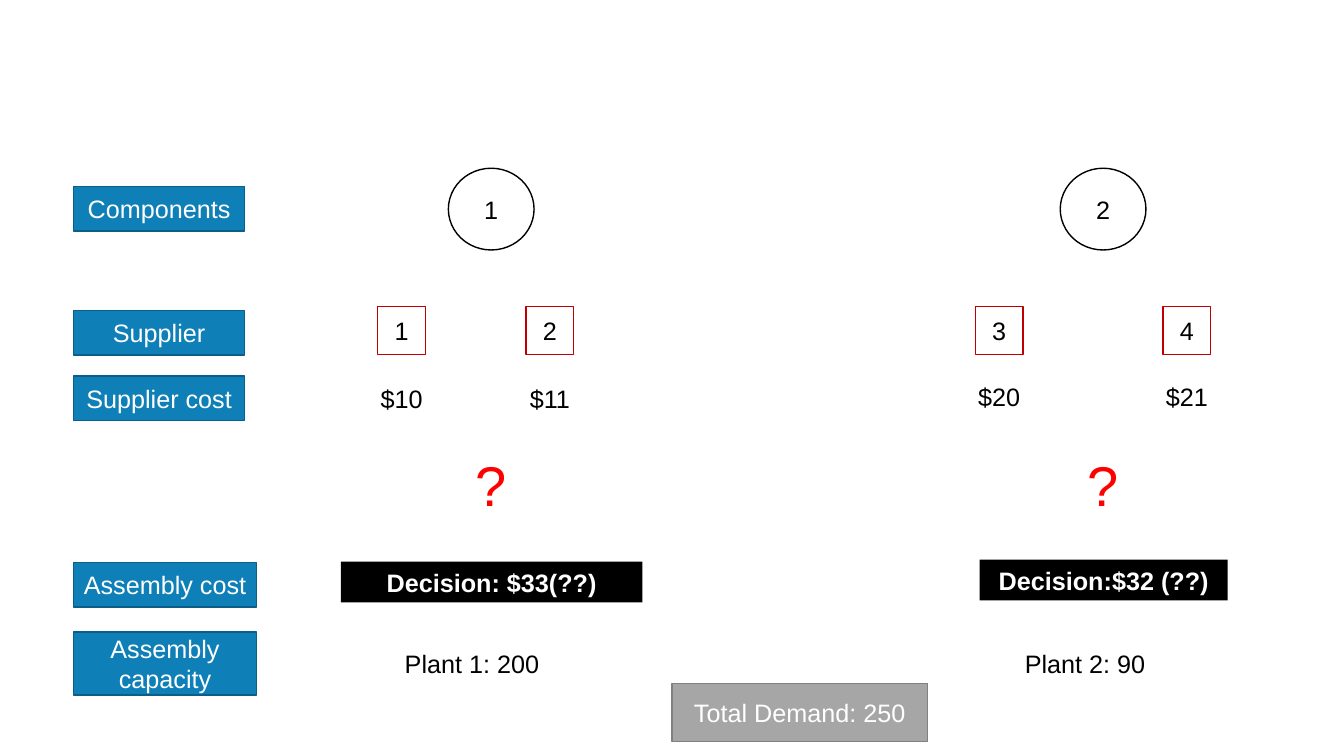
from pptx import Presentation
from pptx.dml.color import RGBColor
from pptx.enum.shapes import MSO_SHAPE
from pptx.enum.text import MSO_ANCHOR, PP_ALIGN
from pptx.util import Cm, Pt

INK = {"blue": "0E7FB7", "navy": "0A5E87", "black": "000000",
       "white": "FFFFFF", "crimson": "C00000", "red": "FF0000",
       "gray": "A6A6A6", "edge": "808080"}

deck = Presentation()
deck.slide_width, deck.slide_height = Cm(33.87), Cm(19.05)
slide = deck.slides.add_slide(deck.slide_layouts[6])


def tint(name):
    """Return the named colour."""
    return RGBColor.from_string(INK[name])


def put(text, left, top, width, height, form=MSO_SHAPE.RECTANGLE,
        fill=None, line=None, color="black", size=18, bold=False):
    """Place centred text, in a shape if it has a fill or line; sizes in cm."""
    box = [Cm(n) for n in (left, top, width, height)]
    if fill or line:
        item = slide.shapes.add_shape(form, *box)
        item.shadow.inherit = False
    else:
        item = slide.shapes.add_textbox(*box)
    if fill:
        item.fill.solid()
        item.fill.fore_color.rgb = tint(fill)
    else:
        item.fill.background()
    if line:
        item.line.color.rgb = tint(line)
        item.line.width = Pt(1)
    else:
        item.line.fill.background()
    frame = item.text_frame
    frame.word_wrap = True
    frame.vertical_anchor = MSO_ANCHOR.MIDDLE
    para = frame.paragraphs[0]
    para.alignment = PP_ALIGN.CENTER
    run = para.add_run()
    run.text = text
    font = run.font
    font.name, font.size, font.bold = "Arial", Pt(size), bold
    font.color.rgb = tint(color)


# Row labels
for label, top, width, height in [
        ("Components", 4.7, 4.3, 1.12), ("Supplier", 7.83, 4.3, 1.12),
        ("Supplier cost", 9.48, 4.3, 1.12), ("Assembly cost", 14.18, 4.6, 1.12),
        ("Assembly capacity", 15.93, 4.6, 1.58)]:
    put(label, 1.86, top, width, height,
        fill="blue", line="navy", color="white")

# Components, each with its open question
for part, mid in [("1", 12.38), ("2", 27.8)]:
    put(part, mid - 1.08, 4.24, 2.16, 2.06, form=MSO_SHAPE.OVAL, line="black")
    put("?", mid - 1.7, 11.23, 3.4, 1.96, color="red", size=40)

# Suppliers above their costs
for name, cost, mid, top in [("1", "$10", 10.12, 9.53), ("2", "$11", 13.86, 9.53),
                             ("3", "$20", 25.18, 9.47), ("4", "$21", 29.91, 9.47)]:
    put(name, mid - 0.6, 7.73, 1.2, 1.2, line="crimson")
    put(cost, mid - 1.08, top, 2.16, 1.03)

# Assembly decisions and plant capacity
for choice, left, top, width in [("Decision: $33(??)", 8.59, 14.15, 7.6),
                                 ("Decision:$32 (??)", 24.69, 14.1, 6.25)]:
    put(choice, left, top, width, 1.03, fill="black", color="white", bold=True)
for plant, left in [("Plant 1: 200", 9.42), ("Plant 2: 90", 24.87)]:
    put(plant, left, 16.2, 4.95, 1.03)

put("Total Demand: 250", 16.94, 17.22, 6.43, 1.47,
    fill="gray", line="edge", color="white")

deck.save("out.pptx")
